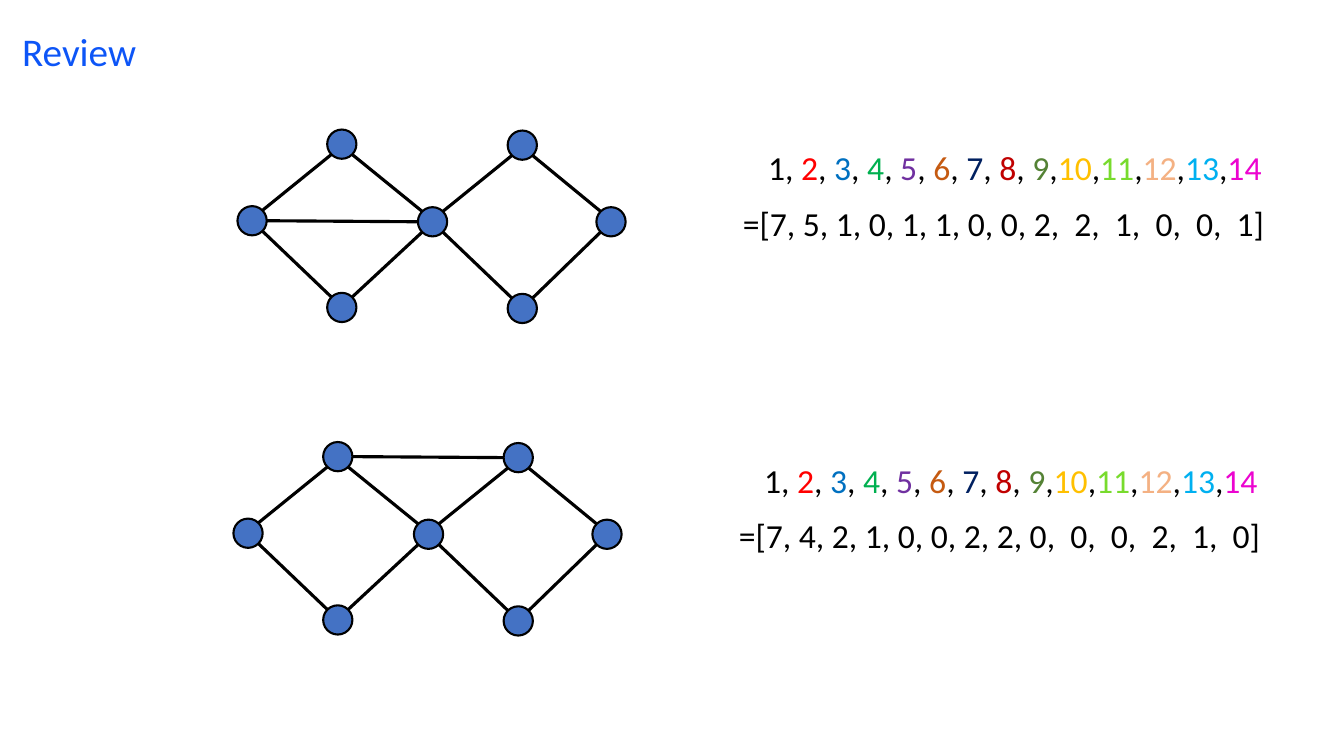
"""Build a review slide comparing two small graphs and their count vectors."""
import math
from dataclasses import dataclass

from lxml import etree
from pptx import Presentation
from pptx.dml.color import RGBColor
from pptx.enum.shapes import MSO_CONNECTOR, MSO_SHAPE
from pptx.enum.text import MSO_ANCHOR, MSO_AUTO_SIZE, PP_ALIGN
from pptx.oxml.ns import qn
from pptx.util import Inches, Pt

LINE = MSO_CONNECTOR.STRAIGHT
OVAL = MSO_SHAPE.OVAL
MIDDLE = MSO_ANCHOR.MIDDLE
GROW = MSO_AUTO_SIZE.SHAPE_TO_FIT_TEXT
NO_FIT = MSO_AUTO_SIZE.NONE
LEFT = PP_ALIGN.LEFT


@dataclass(frozen=True)
class Theme:
    font: str = "Calibri"
    title_size: int = 28
    body_size: int = 24
    title: str = "0D55F7"
    ink: str = "000000"
    node: str = "4472C4"
    node_line: float = 1.5
    edge_line: float = 2.25
    indices: tuple = ("000000", "FF0000", "0070C0", "00B050", "7030A0", "C55A11", "002060",
                      "C00000", "548235", "FFC000", "78DB2D", "F4B183", "00B0F0", "EC04D0")


NODE_SIZE = 0.29
NODES = {
    "left": (2.5, 2.19), "centre": (4.29, 2.2), "right": (6.06, 2.2),
    "top_left": (3.39, 1.43), "top_right": (5.18, 1.44),
    "low_left": (3.39, 3.05), "low_right": (5.18, 3.06),
}
SHARED_EDGES = [
    ("top_left", "centre"), ("centre", "top_right"), ("top_left", "left"),
    ("low_left", "centre"), ("low_right", "centre"), ("top_right", "right"),
    ("low_right", "right"), ("low_left", "left"),
]
GRAPHS = [
    (0, 0, ("left", "centre"), "=[7, 5, 1, 0, 1, 1, 0, 0, 2,  2,  1,  0,  0,  1]"),
    (-0.04, 3.1, ("top_left", "top_right"), "=[7, 4, 2, 1, 0, 0, 2, 2, 0,  0,  0,  2,  1,  0]"),
]


class Slide:
    """Hold the theme and the current slide."""

    def __init__(self, prs, theme):
        self.theme = theme
        self.s = prs.slides.add_slide(prs.slide_layouts[5])

    def format_run(self, r, size, color):
        r.font.name = self.theme.font
        r.font.size = Pt(size)
        r.font.color.rgb = RGBColor.from_string(color)

    def title(self, text, x, y, w, h):
        sp = self.s.shapes.title
        sp.left, sp.top, sp.width, sp.height = map(Inches, (x, y, w, h))
        tf = sp.text_frame
        tf.text = text
        tf.vertical_anchor = MIDDLE
        tf.auto_size = NO_FIT
        p = tf.paragraphs[0]
        p.alignment = LEFT
        p.line_spacing = 0.9
        self.format_run(p.runs[0], self.theme.title_size, self.theme.title)

    def text(self, parts, x, y, w, h=0.5):
        sp = self.s.shapes.add_textbox(Inches(x), Inches(y), Inches(w), Inches(h))
        tf = sp.text_frame
        tf.word_wrap = True
        tf.auto_size = GROW
        for text, color in parts:
            r = tf.paragraphs[0].add_run()
            r.text = text
            self.format_run(r, self.theme.body_size, color)

    def indices(self, x, y, w):
        parts = []
        for i, color in enumerate(self.theme.indices, 1):
            if i > 1:
                parts.append((", " if i < 10 else ",", self.theme.ink))
            parts.append((str(i), color))
        self.text(parts, x, y, w)

    def node(self, group, x, y):
        half = NODE_SIZE / 2
        sp = group.shapes.add_shape(OVAL, Inches(x - half), Inches(y - half),
                                    Inches(NODE_SIZE), Inches(NODE_SIZE))
        sp.shadow.inherit = False
        sp.fill.solid()
        sp.fill.fore_color.rgb = RGBColor.from_string(self.theme.node)
        sp.line.color.rgb = RGBColor.from_string(self.theme.ink)
        sp.line.width = Pt(self.theme.node_line)

    def edge(self, group, x1, y1, x2, y2):
        eighth = math.pi / 4
        angle = round(math.atan2(y2 - y1, x2 - x1) / eighth) * eighth
        dx = NODE_SIZE / 2 * math.cos(angle)
        dy = NODE_SIZE / 2 * math.sin(angle)
        line = group.shapes.add_connector(LINE, Inches(x1 + dx), Inches(y1 + dy),
                                          Inches(x2 - dx), Inches(y2 - dy))
        line.line.color.rgb = RGBColor.from_string(self.theme.ink)
        line.line.width = Pt(self.theme.edge_line)
        etree.SubElement(line._element.spPr, qn("a:effectLst"))

    def graph(self, dx, dy, extra_edge):
        group = self.s.shapes.add_group_shape()
        centres = {name: (x + dx, y + dy) for name, (x, y) in NODES.items()}
        for x, y in centres.values():
            self.node(group, x, y)
        for start, end in SHARED_EDGES + [extra_edge]:
            self.edge(group, *centres[start], *centres[end])


def main():
    prs = Presentation()
    prs.slide_width, prs.slide_height = Inches(13.33), Inches(7.5)
    theme = Theme()
    s = Slide(prs, theme)
    s.title("Review", 0.12, 0.12, 11.5, 0.82)
    for dx, dy, extra_edge, counts in GRAPHS:
        s.graph(dx, dy, extra_edge)
        s.text([(counts, theme.ink)], 7.27 + dx, 1.96 + dy, 5.59)
        s.indices(7.52 + dx, 1.41 + dy, 5.18)
    prs.save("out.pptx")


if __name__ == "__main__":
    main()
